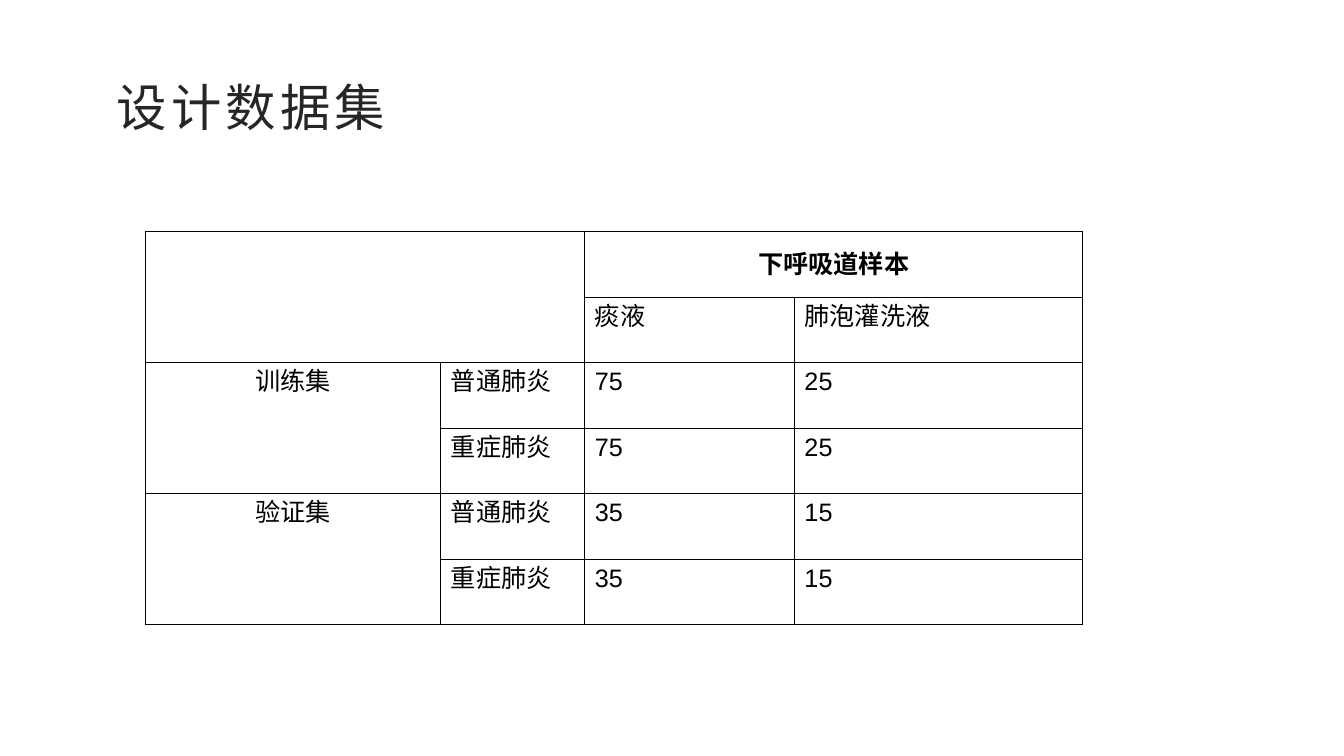
from lxml.etree import SubElement
from pptx import Presentation
from pptx.dml.color import RGBColor
from pptx.enum.text import MSO_ANCHOR, PP_ALIGN
from pptx.oxml.ns import qn
from pptx.util import Cm, Pt

COLORS = {"title": "262626", "text": "000000", "border": "000000", "cell": "FFFFFF"}
FONT = "Arial"

COLUMN_WIDTHS = [7.45, 3.63, 5.28, 7.26]
ROW_HEIGHT = 1.65
ROWS = [
    ["", "", "下呼吸道样本", ""],
    ["", "", "痰液", "肺泡灌洗液"],
    ["训练集", "普通肺炎", "75", "25"],
    ["", "重症肺炎", "75", "25"],
    ["验证集", "普通肺炎", "35", "15"],
    ["", "重症肺炎", "35", "15"],
]
# First and last cell of each merged block, as (row, column)
MERGES = [((0, 0), (1, 1)), ((0, 2), (0, 3)), ((2, 0), (3, 0)), ((4, 0), (5, 0))]


def write_text(frame, text, size=18, color="text", bold=False,
               align=PP_ALIGN.LEFT, spacing=None):
    paragraph = frame.paragraphs[0]
    paragraph.alignment = align
    run = paragraph.add_run()
    run.text = text
    run.font.name = FONT
    run.font.size = Pt(size)
    run.font.bold = bold
    run.font.color.rgb = RGBColor.from_string(COLORS[color])
    properties = run.font._element
    SubElement(properties, qn("a:ea")).set("typeface", FONT)
    if spacing:
        properties.set("spc", str(spacing * 100))


def style_cell(cell):
    """Draw the four borders, then fill the cell."""
    properties = cell._tc.get_or_add_tcPr()
    for side in ("lnL", "lnR", "lnT", "lnB"):
        line = SubElement(properties, qn(f"a:{side}"), w=str(Pt(1)))
        fill = SubElement(line, qn("a:solidFill"))
        SubElement(fill, qn("a:srgbClr"), val=COLORS["border"])
    cell.fill.solid()
    cell.fill.fore_color.rgb = RGBColor.from_string(COLORS["cell"])


def add_title(slide, left, top, width, height):
    frame = slide.shapes.add_textbox(left, top, width, height).text_frame
    frame.word_wrap = True
    frame.vertical_anchor = MSO_ANCHOR.MIDDLE
    write_text(frame, "设计数据集", size=36, color="title", spacing=3)


def add_dataset_table(slide, left, top):
    width, height = Cm(sum(COLUMN_WIDTHS)), Cm(ROW_HEIGHT * len(ROWS))
    table = slide.shapes.add_table(
        len(ROWS), len(COLUMN_WIDTHS), left, top, width, height).table
    table.first_row = table.horz_banding = False
    for column, column_width in zip(table.columns, COLUMN_WIDTHS):
        column.width = Cm(column_width)

    for row_index, row in enumerate(ROWS):
        table.rows[row_index].height = Cm(ROW_HEIGHT)
        for column_index, text in enumerate(row):
            cell = table.cell(row_index, column_index)
            style_cell(cell)
            if not text:
                continue
            heading = row_index == 0
            centered = heading or column_index == 0
            cell.vertical_anchor = MSO_ANCHOR.MIDDLE if heading else MSO_ANCHOR.TOP
            write_text(cell.text_frame, text, bold=heading,
                       align=PP_ALIGN.CENTER if centered else PP_ALIGN.LEFT)

    for first, last in MERGES:
        table.cell(*first).merge(table.cell(*last))


def main():
    presentation = Presentation()
    presentation.slide_width = Cm(33.87)
    presentation.slide_height = Cm(19.05)
    slide = presentation.slides.add_slide(presentation.slide_layouts[6])
    add_title(slide, Cm(2.69), Cm(1.7), Cm(25.04), Cm(1.96))
    add_dataset_table(slide, Cm(3.66), Cm(5.84))
    presentation.save("out.pptx")


if __name__ == "__main__":
    main()
